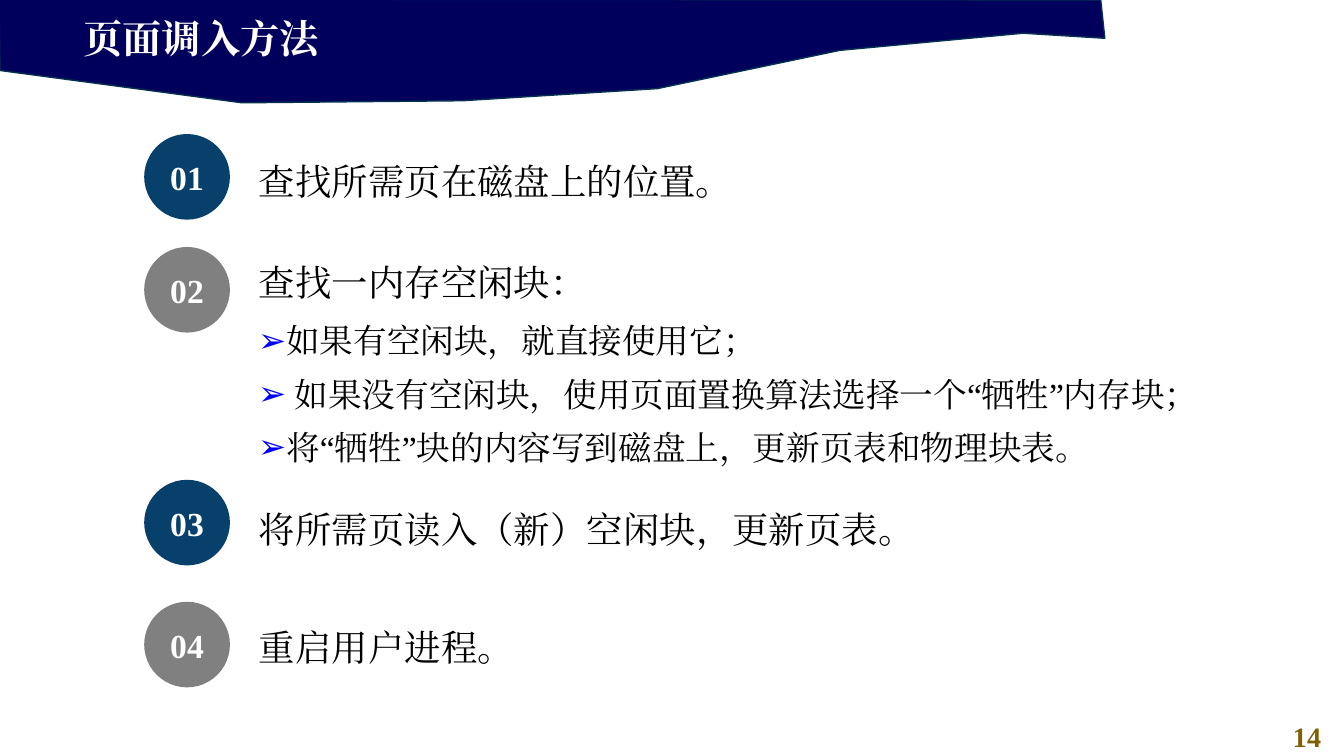
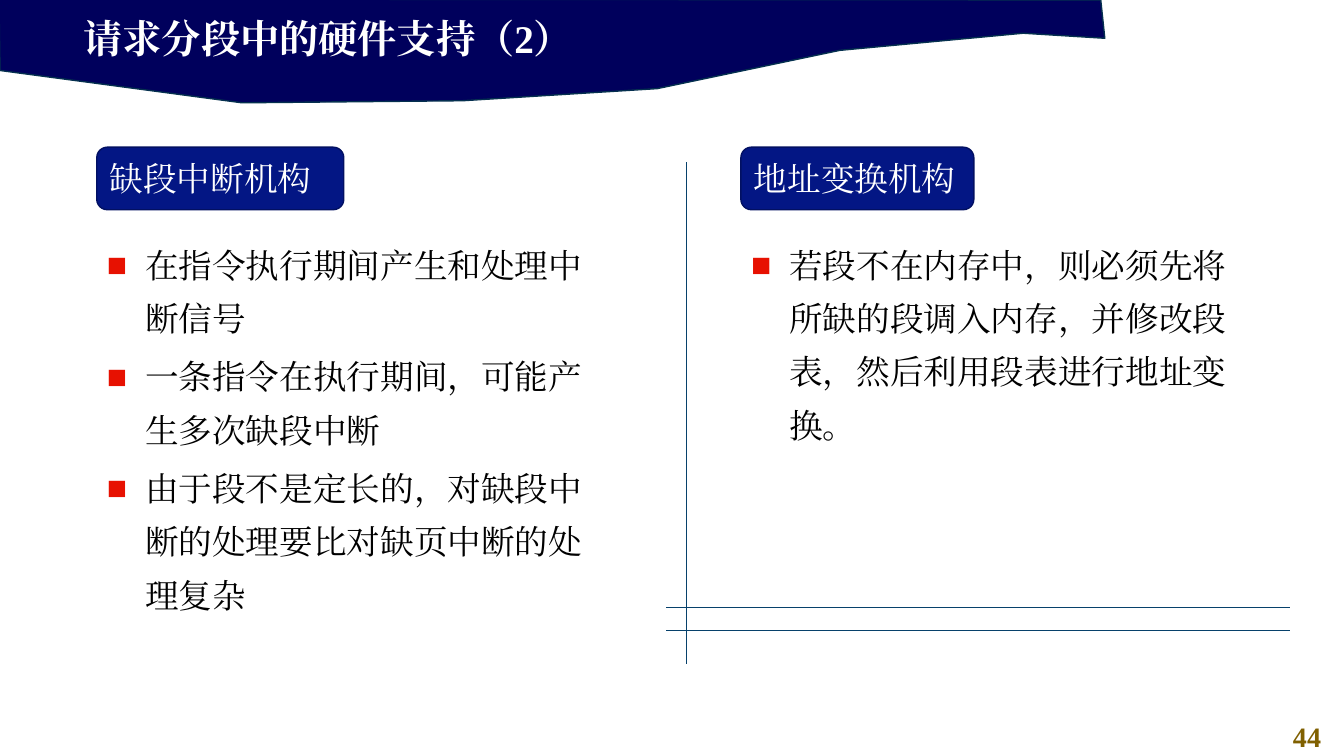
from dataclasses import dataclass
from typing import NamedTuple

from lxml.etree import SubElement
from pptx import Presentation
from pptx.dml.color import RGBColor
from pptx.enum.shapes import MSO_CONNECTOR, MSO_SHAPE
from pptx.enum.text import MSO_ANCHOR as Anchor, MSO_AUTO_SIZE as AutoSize, PP_ALIGN as Align
from pptx.oxml.ns import qn
from pptx.util import Emu, Inches, Pt

# Shared style
FONT = "Times New Roman"
COLORS = {
    "white": "FFFFFF", "black": "000000", "band": "00005C", "band_line": "05304F",
    "page": "806000", "teal": "07416B", "grey": "808080", "label": "031684",
    "label_line": "021062", "arrow": "0000FF", "square": "E71101",
}

# Grid of 100 columns by 100 rows
WIDTH, HEIGHT = Inches(13.33), Inches(7.5)


def col(n: float) -> Emu:
    return Emu(round(WIDTH * n / 100))


def row(n: float) -> Emu:
    return Emu(round(HEIGHT * n / 100))


class Box(NamedTuple):
    left: float
    top: float
    width: float
    height: float

    def emu(self) -> tuple:
        return col(self.left), row(self.top), col(self.width), row(self.height)


@dataclass(frozen=True)
class TextStyle:
    size: float
    color: str = "black"
    bold: bool = False
    align: Align = Align.LEFT
    anchor: Anchor = Anchor.TOP
    spacing: float = 1.0
    before: float = 0
    wrap: bool = True


@dataclass(frozen=True)
class Bullet:
    char: str
    color: str
    margin: float
    hanging: float


@dataclass(frozen=True)
class Step:
    text: str
    circle_top: float
    box: Box
    spacing: float = 0.9


@dataclass(frozen=True)
class Topic:
    label: str
    left: float
    label_width: float
    list_height: float
    items: tuple


TITLE_BOX = Box(5.48, 1.2, 57.6, 7.6)
PAGE_BOX = Box(94.5, 94.53, 5.5, 5.87)
BAND = [(-0.08, -0.13), (0, 9.33), (18, 13.6), (34.43, 13.33), (48.9, 11.73),
        (62.48, 6.67), (76.13, 4.4), (82.2, 5.07), (81.9, 0)]

TITLE = TextStyle(28, "white", bold=True)
PAGE = TextStyle(20, "page", bold=True, align=Align.CENTER)
NUMBER = TextStyle(24, "white", bold=True, align=Align.CENTER, anchor=Anchor.MIDDLE, wrap=False)
LABEL = TextStyle(24, "white", anchor=Anchor.MIDDLE)
ARROW_LIST = TextStyle(24, spacing=1.32)
SQUARE_LIST = TextStyle(24, spacing=1.32, before=3.7)
ARROW = Bullet("➢", "arrow", 0.75, 0.25)
SQUARE = Bullet("■", "square", 0.38, 0.38)


def rgb(name: str) -> RGBColor:
    return RGBColor.from_string(COLORS[name])


# Text
def add_bullet(p, bullet: Bullet) -> None:
    pPr = p._p.get_or_add_pPr()
    pPr.set("marL", str(Inches(bullet.margin)))
    pPr.set("indent", str(-Inches(bullet.hanging)))
    clr = SubElement(pPr, qn("a:buClr"))
    SubElement(clr, qn("a:srgbClr")).set("val", COLORS[bullet.color])
    SubElement(pPr, qn("a:buChar")).set("char", bullet.char)


def write(sp, lines, style: TextStyle, bullet: Bullet | None = None) -> None:
    tf = sp.text_frame
    tf.word_wrap = style.wrap
    tf.auto_size = AutoSize.NONE
    tf.vertical_anchor = style.anchor
    for i, line in enumerate(lines):
        p = tf.add_paragraph() if i else tf.paragraphs[0]
        if bullet:
            add_bullet(p, bullet)
        p.alignment = style.align
        p.line_spacing = style.spacing
        p.space_before = Pt(style.before if i else 0)
        r = p.add_run()
        r.text = line
        r.font.name = FONT
        r.font.size = Pt(style.size)
        r.font.bold = style.bold
        r.font.color.rgb = rgb(style.color)
        latin = r._r.get_or_add_rPr().find(qn("a:latin"))
        ea = latin.makeelement(qn("a:ea"), {"typeface": FONT})
        latin.addnext(ea)


def add_text(s, box: Box, line: str, style: TextStyle) -> None:
    write(s.shapes.add_textbox(*box.emu()), [line], style)


def fill_placeholder(sp, box: Box, lines, style: TextStyle, bullet: Bullet | None = None) -> None:
    sp.left, sp.top, sp.width, sp.height = box.emu()
    write(sp, lines, style, bullet)


# Shapes
def paint(sp, fill: str, line: str | None = None) -> None:
    sp.shadow.inherit = False
    sp.fill.solid()
    sp.fill.fore_color.rgb = rgb(fill)
    if line:
        sp.line.color.rgb = rgb(line)
        sp.line.width = Pt(1)
    else:
        sp.line.fill.background()


def add_shape(s, kind: MSO_SHAPE, box: Box, text: str, style: TextStyle,
              fill: str, line: str | None = None) -> None:
    sp = s.shapes.add_shape(kind, *box.emu())
    paint(sp, fill, line)
    write(sp, [text], style)


def add_rule(s, x1: float, y1: float, x2: float, y2: float) -> None:
    rule = s.shapes.add_connector(MSO_CONNECTOR.STRAIGHT, col(x1), row(y1), col(x2), row(y2))
    rule.line.color.rgb = rgb("teal")
    rule.line.width = Pt(0.5)
    SubElement(rule._element.spPr, qn("a:effectLst"))


def new_slide(prs, layout: int, title: str, page: int):
    s = prs.slides.add_slide(prs.slide_layouts[layout])
    points = [(col(x), row(y)) for x, y in BAND]
    builder = s.shapes.build_freeform(*points[0])
    builder.add_line_segments(points[1:], close=True)
    band = builder.convert_to_shape()
    paint(band, "band", "band_line")
    s.shapes._spTree.insert(2, band._element)  # behind the title
    fill_placeholder(s.shapes.title, TITLE_BOX, [title], TITLE)
    add_text(s, PAGE_BOX, str(page), PAGE)
    return s


# Slide contents
STEPS = [
    Step("查找所需页在磁盘上的位置。", 17.73, Box(18.53, 18.53, 42.4, 9.33), 1.32),
    Step("查找一内存空闲块：", 32.67, Box(18.53, 34.4, 27, 5.33)),
    Step("将所需页读入（新）空闲块，更新页表。", 63.47, Box(18.53, 67.07, 50, 5.33)),
    Step("重启用户进程。", 79.6, Box(18.53, 82.67, 20, 5.07)),
]
FREE_BLOCK_CASES = [
    "如果有空闲块，就直接使用它；",
    " 如果没有空闲块，使用页面置换算法选择一个“牺牲”内存块；",
    "将“牺牲”块的内容写到磁盘上，更新页表和物理块表。",
]
TOPICS = [
    Topic("缺段中断机构", 7.2, 18.38, 53.33, (
        "在指令执行期间产生和处理中断信号",
        "一条指令在执行期间，可能产生多次缺段中断",
        "由于段不是定长的，对缺段中断的处理要比对缺页中断的处理复杂",
    )),
    Topic("地址变换机构", 55.13, 17.33, 22.67, (
        "若段不在内存中，则必须先将所缺的段调入内存，并修改段表，然后利用段表进行地址变换。",
    )),
]
RULES = [(51.08, 21.47, 51.08, 87.87), (49.58, 80.4, 96, 80.4), (49.58, 83.33, 96, 83.33)]


def page_in_slide(prs) -> None:
    s = new_slide(prs, 1, "页面调入方法", 14)
    for i, step in enumerate(STEPS):
        circle = Box(10.73, step.circle_top, 6.38, 11.33)
        add_shape(s, MSO_SHAPE.OVAL, circle, f"{i + 1:02}", NUMBER, ("teal", "grey")[i % 2])
        add_text(s, step.box, step.text, TextStyle(26, spacing=step.spacing))
    fill_placeholder(s.placeholders[1], Box(14.7, 40, 79.75, 22.27),
                     FREE_BLOCK_CASES, ARROW_LIST, ARROW)


def segment_slide(prs) -> None:
    s = new_slide(prs, 3, "请求分段中的硬件支持（2）", 44)
    for idx, topic in enumerate(TOPICS, start=1):
        add_shape(s, MSO_SHAPE.ROUNDED_RECTANGLE, Box(topic.left, 19.47, topic.label_width, 8.27),
                  topic.label, LABEL, "label", "label_line")
        fill_placeholder(s.placeholders[idx], Box(topic.left, 30, 37.66, topic.list_height),
                         topic.items, SQUARE_LIST, SQUARE)
    for ends in RULES:
        add_rule(s, *ends)


def main() -> None:
    prs = Presentation()
    prs.slide_width, prs.slide_height = WIDTH, HEIGHT
    page_in_slide(prs)
    segment_slide(prs)
    prs.save("out.pptx")


if __name__ == "__main__":
    main()
